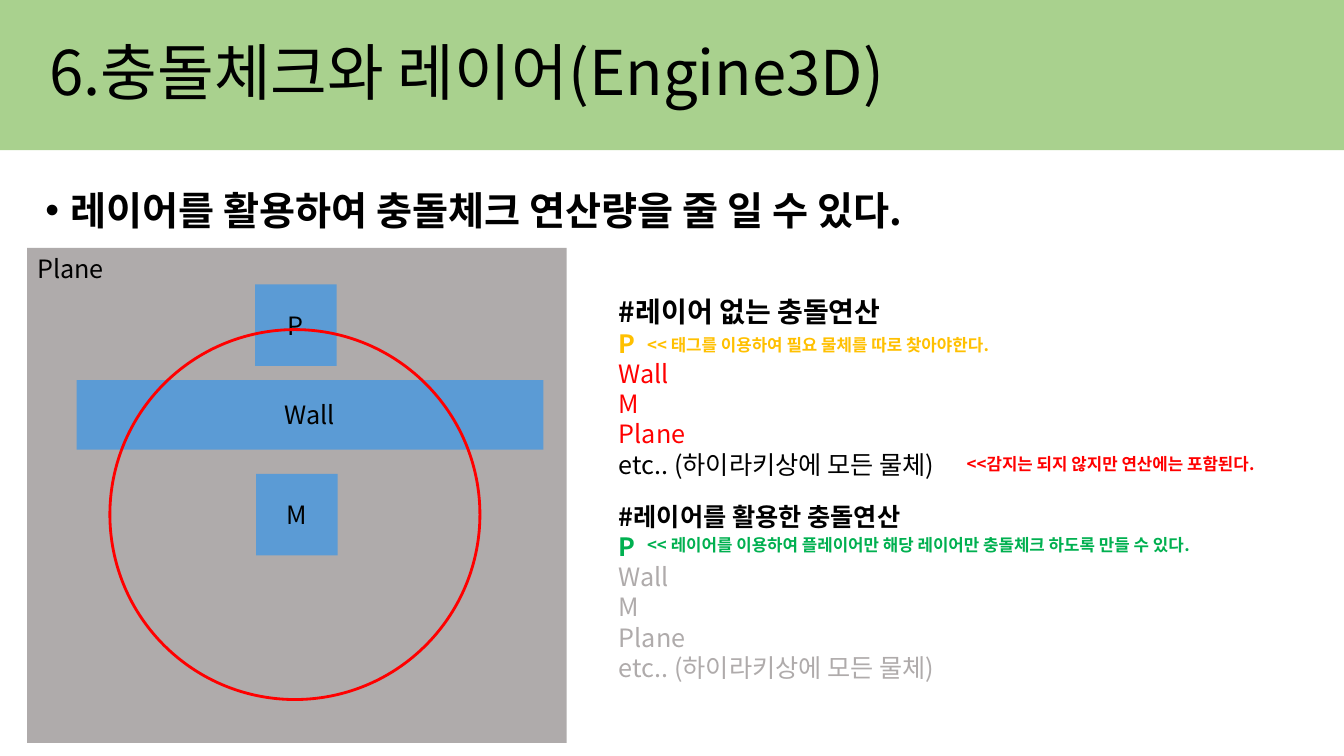
from lxml.etree import SubElement
from pptx import Presentation
from pptx.dml.color import RGBColor
from pptx.enum.shapes import MSO_SHAPE as Shape
from pptx.enum.text import MSO_ANCHOR as Anchor, MSO_AUTO_SIZE as AutoSize, PP_ALIGN as Align
from pptx.oxml.ns import qn
from pptx.util import Inches, Pt

FONT = "Noto Sans CJK KR"
BLACK, RED, GREEN, AMBER = "000000", "FF0000", "00B050", "FFC000"
GRAY, BLUE, BAND = "AFABAB", "5B9BD5", "A9D18E"

TITLE = "6.충돌체크와 레이어(Engine3D)"
POINT = "레이어를 활용하여 충돌체크 연산량을 줄 일 수 있다."
BLOCKS = [  # label, box
    ("M", (2.54, 4.7, 0.81, 0.81)),
    ("P", (2.53, 2.82, 0.81, 0.81)),
    ("Wall", (0.76, 3.77, 4.63, 0.69)),
]
OTHERS = ["Wall", "M", "Plane"]
EVERYTHING = "etc.. (하이라키상에 모든 물체)"
# box, heading, heading size, colours of P, the other objects and everything else
CHECKS = [
    ((6.04, 2.87, 3.98, 1.95), "#레이어 없는 충돌연산", 20, AMBER, RED, BLACK),
    ((6.04, 4.92, 4.3, 1.92), "#레이어를 활용한 충돌연산", 18, GREEN, GRAY, GRAY),
]
NOTES = [  # box, text, colour
    ((6.32, 5.26, 6.54, 0.3),
     "<< 레이어를 이용하여 플레이어만 해당 레이어만 충돌체크 하도록 만들 수 있다.", GREEN),
    ((6.32, 3.27, 6.18, 0.3), "<< 태그를 이용하여 필요 물체를 따로 찾아야한다.", AMBER),
    ((9.49, 4.45, 3.8, 0.3), "<<감지는 되지 않지만 연산에는 포함된다.", RED),
]


def rgb(color):
    return RGBColor.from_string(color)


def add_run(paragraph, text, size, color=BLACK, bold=False):
    run = paragraph.add_run()
    run.text = text
    font = run.font
    font.size, font.bold, font.name = Pt(size), bold, FONT
    font.color.rgb = rgb(color)
    SubElement(font._element, qn("a:ea"), typeface=FONT)


def add_figure(slide, kind, box, fill=None, line=None):
    shape = slide.shapes.add_shape(kind, *map(Inches, box))
    shape.shadow.inherit = False
    if fill:
        shape.fill.solid()
        shape.fill.fore_color.rgb = rgb(fill)
    else:
        shape.fill.background()
    if line:
        shape.line.color.rgb = rgb(line)
        shape.line.width = Pt(2)
    else:
        shape.line.fill.background()
    return shape


def add_label(shape, text, anchor, align):
    frame = shape.text_frame
    frame.vertical_anchor = anchor
    frame.paragraphs[0].alignment = align
    add_run(frame.paragraphs[0], text, 18)


def add_lines(slide, box, lines):
    """Add a text box with one paragraph for each (text, size, colour, bold)."""
    frame = slide.shapes.add_textbox(*map(Inches, box)).text_frame
    frame.word_wrap = True
    for index, line in enumerate(lines):
        paragraph = frame.add_paragraph() if index else frame.paragraphs[0]
        add_run(paragraph, *line)


def fill_placeholder(shape, box, text, size, anchor, bold=False):
    shape.left, shape.top, shape.width, shape.height = map(Inches, box)
    frame = shape.text_frame
    frame.auto_size = AutoSize.NONE
    frame.word_wrap = True
    frame.vertical_anchor = anchor
    paragraph = frame.paragraphs[0]
    paragraph.alignment = Align.LEFT
    paragraph.line_spacing = 0.9
    paragraph.space_before = Pt(0)
    add_run(paragraph, text, size, bold=bold)
    return paragraph


def main():
    presentation = Presentation()
    presentation.slide_width, presentation.slide_height = Inches(13.33), Inches(7.5)
    slide = presentation.slides.add_slide(presentation.slide_layouts[1])

    band = add_figure(slide, Shape.RECTANGLE, (0, -0.02, 13.33, 1.51), BAND)
    slide.shapes._spTree.insert(2, band._element)  # behind the title
    title, body = slide.placeholders
    fill_placeholder(title, (0.39, 0.02, 11.5, 1.45), TITLE, 44, Anchor.MIDDLE)
    point = fill_placeholder(body, (0.35, 1.85, 12.62, 0.61), POINT, 28, Anchor.TOP, True)
    properties = point._p.get_or_add_pPr()
    properties.set("marL", str(Inches(0.25)))
    properties.set("indent", str(-Inches(0.25)))
    SubElement(properties, qn("a:buFont"), typeface="Arial")
    SubElement(properties, qn("a:buChar"), char="•")

    plane = add_figure(slide, Shape.RECTANGLE, (0.27, 2.46, 5.35, 4.91), GRAY)
    add_label(plane, "Plane", Anchor.TOP, Align.LEFT)
    for label, box in BLOCKS:
        block = add_figure(slide, Shape.RECTANGLE, box, BLUE)
        add_label(block, label, Anchor.MIDDLE, Align.CENTER)
    add_figure(slide, Shape.OVAL, (1.09, 3.27, 3.67, 3.67), line=RED)

    for box, heading, size, player_color, other_color, rest_color in CHECKS:
        add_lines(slide, box, [
            (heading, size, BLACK, True),
            ("P", 18, player_color, True),
            *((name, 18, other_color, False) for name in OTHERS),
            (EVERYTHING, 18, rest_color, False),
        ])
    for box, text, color in NOTES:
        add_lines(slide, box, [(text, 12, color, True)])

    presentation.save("out.pptx")


if __name__ == "__main__":
    main()
